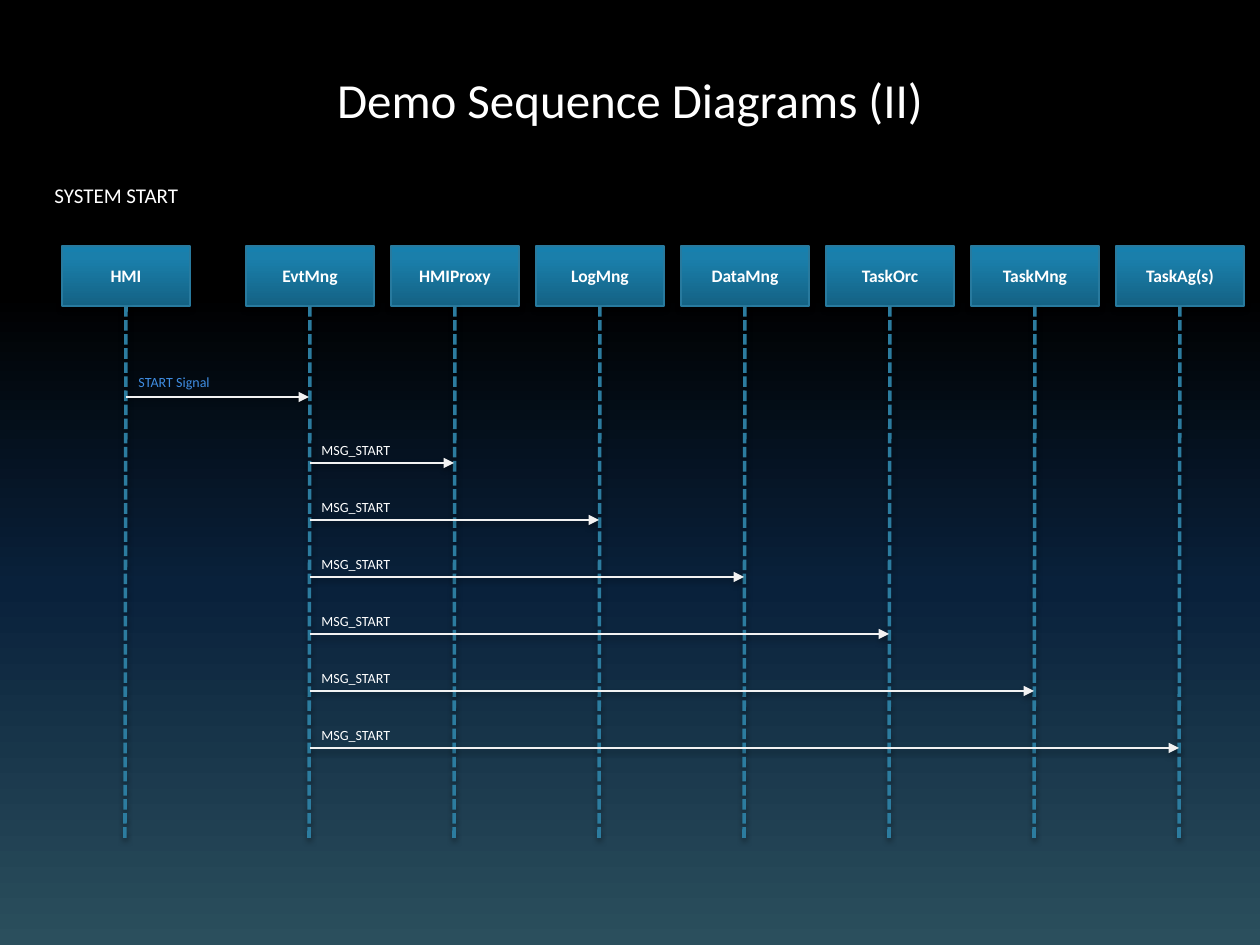
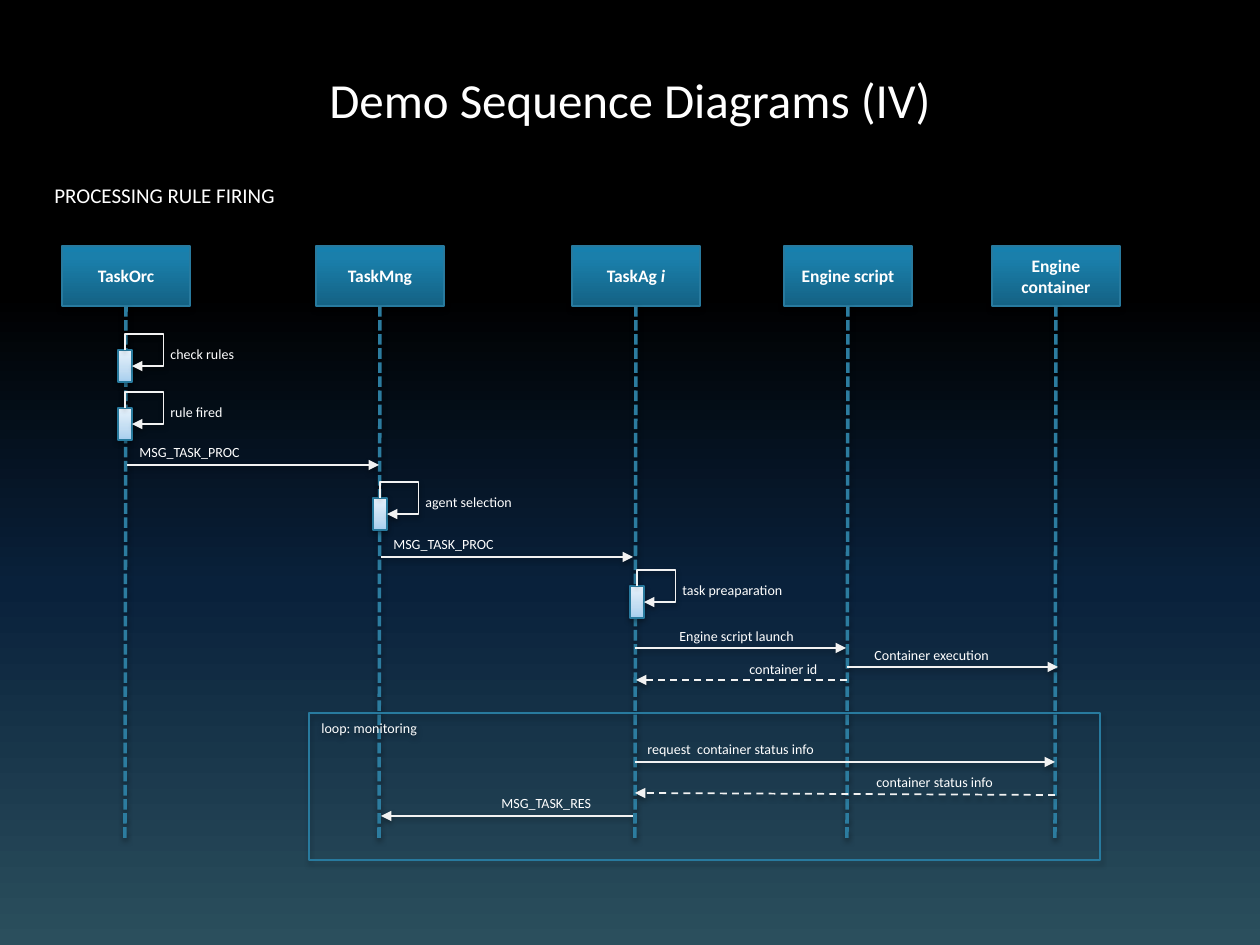
from lxml import etree
from pptx import Presentation
from pptx.dml.color import RGBColor
from pptx.enum.dml import MSO_LINE
from pptx.enum.shapes import MSO_CONNECTOR, MSO_SHAPE
from pptx.enum.text import MSO_ANCHOR, MSO_AUTO_SIZE, PP_ALIGN
from pptx.oxml.ns import qn
from pptx.util import Pt

RECT = MSO_SHAPE.RECTANGLE
STRAIGHT, ELBOW = MSO_CONNECTOR.STRAIGHT, MSO_CONNECTOR.ELBOW
LEFT, CENTER = PP_ALIGN.LEFT, PP_ALIGN.CENTER
TOP, MIDDLE = MSO_ANCHOR.TOP, MSO_ANCHOR.MIDDLE
SYS_DASH, DASH = MSO_LINE.SQUARE_DOT, MSO_LINE.DASH

PX = 914400 / 126
FONT = "Calibri"
WHITE, SIGNAL = "FFFFFF", "3F8DE2"
OUTLINE, LIFELINE, ARROW = "287A9E", "2C7C9F", "F2F2F2"
NIGHT = [(0, "000000"), (31, "000000"), (62, "09213B"), (100, "2B4F5D")]
HEAD_FILL = [(0, "146284"), (80, "1A7FAB"), (100, "1780AE")]
ACTIVE_FILL = [(0, "A6CEEE"), (35, "C1DCF2"), (100, "E7F2FB")]

HEAD_TOP, HEAD_W, HEAD_H, LIFE_END = 246, 128, 60, 838
HEAD_MID = HEAD_W // 2


def px(*lengths):
    return [round(length * PX) for length in lengths]


def rgb(color):
    return RGBColor.from_string(color)


def child(parent, tag, **attributes):
    return etree.SubElement(parent, qn(tag), {k: str(v) for k, v in attributes.items()})


def set_gradient(fill, owner, stops, angle):
    """Swap the solid fill inside owner for a linear gradient."""
    fill.solid()
    solid = owner.find(qn("a:solidFill"))
    gradient = etree.Element(qn("a:gradFill"), rotWithShape="1")
    stop_list = child(gradient, "a:gsLst")
    for position, color in stops:
        stop = child(stop_list, "a:gs", pos=position * 1000)
        child(stop, "a:srgbClr", val=color)
    child(gradient, "a:lin", ang=angle * 60000, scaled=0)
    owner.replace(solid, gradient)


def add_shadow(shape, alpha=38, distance=20000):
    effects = child(shape.element.spPr, "a:effectLst")
    shadow = child(effects, "a:outerShdw", blurRad=40000, dist=distance,
                   dir=5400000, rotWithShape=0)
    child(child(shadow, "a:srgbClr", val="000000"), "a:alpha", val=alpha * 1000)


def write(frame, text, size=8, color=WHITE, bold=False, align=LEFT, anchor=TOP, italic_tail=""):
    frame.vertical_anchor = anchor
    paragraph = frame.paragraphs[0]
    paragraph.alignment = align
    for part, italic in ((text, False), (italic_tail, True)):
        if part:
            run = paragraph.add_run()
            run.text = part
            font = run.font
            font.name, font.size, font.bold, font.italic = FONT, Pt(size), bold, italic
            font.color.rgb = rgb(color)


class SequenceDeck:
    def __init__(self):
        self.prs = Presentation()
        self.prs.slide_width, self.prs.slide_height = px(1260, 945)
        self.slide = None
        # Background shared by every slide
        master = self.prs.slide_master
        fill = master.background.fill
        fill.solid()
        set_gradient(fill, master.element.find(".//" + qn("p:bgPr")), NIGHT, 90)

    def new_slide(self, title, scenario, scenario_w):
        self.slide = self.prs.slides.add_slide(self.prs.slide_layouts[6])
        heading = self.slide.shapes.add_textbox(*px(63, 63, 1134, 158)).text_frame
        heading.word_wrap = True
        write(heading, title, size=28, align=CENTER)
        self.label(scenario, 42, 176, scenario_w, 38, size=12)

    def label(self, text, x, y, w, h=30, **style):
        frame = self.slide.shapes.add_textbox(*px(x, y, w, h)).text_frame
        frame.word_wrap = False
        frame.auto_size = MSO_AUTO_SIZE.SHAPE_TO_FIT_TEXT
        write(frame, text, **style)

    def box(self, x, y, w, h, stops=None, **shadow):
        box = self.slide.shapes.add_shape(RECT, *px(x, y, w, h))
        if stops:
            set_gradient(box.fill, box.element.spPr, stops, 270)
        else:
            box.fill.background()
        box.line.color.rgb = rgb(OUTLINE)
        box.line.width = Pt(0.75)
        add_shadow(box, **shadow)
        return box

    def stroke(self, line, color, width, dash=None, arrow=True):
        line.line.color.rgb = rgb(color)
        line.line.width = Pt(width)
        if dash:
            line.line.dash_style = dash
        if arrow:
            child(line.element.spPr.find(qn("a:ln")), "a:tailEnd", type="triangle")
        add_shadow(line)

    def participant(self, name, x, italic_tail=""):
        head = self.box(x, HEAD_TOP, HEAD_W, HEAD_H, HEAD_FILL, alpha=35, distance=23000)
        head.text_frame.word_wrap = True
        write(head.text_frame, name, size=10, bold=True, align=CENTER,
              anchor=MIDDLE, italic_tail=italic_tail)
        lifeline = self.slide.shapes.add_connector(
            STRAIGHT, *px(x + HEAD_MID, HEAD_TOP + HEAD_H, x + HEAD_MID - 1, LIFE_END))
        self.stroke(lifeline, LIFELINE, 2, SYS_DASH, arrow=False)

    def message(self, text, start, end, y, label_x, label_w,
                dash=None, lift=28, rise=0, color=WHITE):
        arrow = self.slide.shapes.add_connector(STRAIGHT, *px(start, y, end, y - rise))
        self.stroke(arrow, ARROW, 1, dash)
        self.label(text, label_x, y - lift, label_w, color=color)

    def self_call(self, text, x, y, label_w):
        w, h = 14, 32
        activation = self.box(x, y, w, h, ACTIVE_FILL)
        loop = self.slide.shapes.add_connector(ELBOW, *px(x, y, x + w, y + h))
        loop.begin_connect(activation, 0)
        loop.end_connect(activation, 3)
        # Quarter turn: the frame is as wide as the drop and as high as the run
        run, drop = w // 2, h // 2
        loop.left, loop.top, loop.width, loop.height = px(
            x + run + (run - drop) / 2, y + (drop - run) / 2, drop, run)
        frame = loop.element.spPr.find(qn("a:xfrm"))
        frame.set("rot", "16200000")
        frame.set("flipH", "1")
        geometry = loop.element.spPr.find(qn("a:prstGeom"))
        geometry.set("prst", "bentConnector4")
        guides = geometry.find(qn("a:avLst"))
        for guide, value in (("adj1", -101700), ("adj2", 548600)):
            child(guides, "a:gd", name=guide, fmla=f"val {value}")
        self.stroke(loop, ARROW, 1)
        self.label(text, x + 40, y - 11, label_w)

    def loop_frame(self, text, x, y, w, h):
        frame = self.box(x, y, w, h, alpha=35, distance=23000)
        write(frame.text_frame, text)


def system_start(deck):
    deck.new_slide("Demo Sequence Diagrams (II)", "SYSTEM START", 166)
    deck.participant("HMI", 62)
    managers = ["EvtMng", "HMIProxy", "LogMng", "DataMng", "TaskOrc", "TaskMng", "TaskAg(s)"]
    first, pitch = 246, 145
    for i, name in enumerate(managers):
        deck.participant(name, first + pitch * i)

    # The event manager passes the start signal on to every other manager
    sender = first + HEAD_MID
    deck.message("START Signal", 126, sender - 1, 397, 126, 108, lift=30, color=SIGNAL)
    for i in range(1, len(managers)):
        deck.message("MSG_START", sender, sender + pitch * i - 1, 406 + 57 * i, sender - 1, 102)


def rule_firing(deck):
    deck.new_slide("Demo Sequence Diagrams (IV)", "PROCESSING RULE FIRING", 268)
    for name, x, tail in [("TaskOrc", 62, ""), ("TaskMng", 316, ""), ("TaskAg ", 572, "i"),
                          ("Engine script", 784, ""), ("Engine container", 992, "")]:
        deck.participant(name, x, tail)

    # Monitoring loop
    deck.loop_frame("loop: monitoring", 309, 713, 791, 147)

    # Work inside one participant
    for text, x, y, label_w in [("check rules", 118, 350, 91), ("rule fired", 118, 408, 78),
                                ("agent selection", 373, 498, 115),
                                ("task preaparation", 630, 586, 127)]:
        deck.self_call(text, x, y, label_w)

    # Messages between participants
    orc, mng, agent, script, container = 127, 381, 635, 847, 1055
    deck.message("MSG_TASK_PROC", orc, mng - 2, 465, orc, 140)
    deck.message("MSG_TASK_PROC", mng, agent - 2, 557, mng, 137)
    deck.message("Engine script launch", agent, script - 1, 648, 667, 144, lift=27)
    deck.message("Container execution", script, container + 3, 667, 862, 144, lift=27)
    deck.message("container id", script, agent + 1, 680, 737, 95, DASH, lift=26)
    deck.message("request  container status info", agent, container, 762, agent, 194)
    deck.message("container status info", container, agent, 795, 864, 145, DASH, rise=2)
    deck.message("MSG_TASK_RES", agent - 2, mng, 816, 489, 125)


def main():
    deck = SequenceDeck()
    system_start(deck)
    rule_firing(deck)
    deck.prs.save("out.pptx")


if __name__ == "__main__":
    main()
